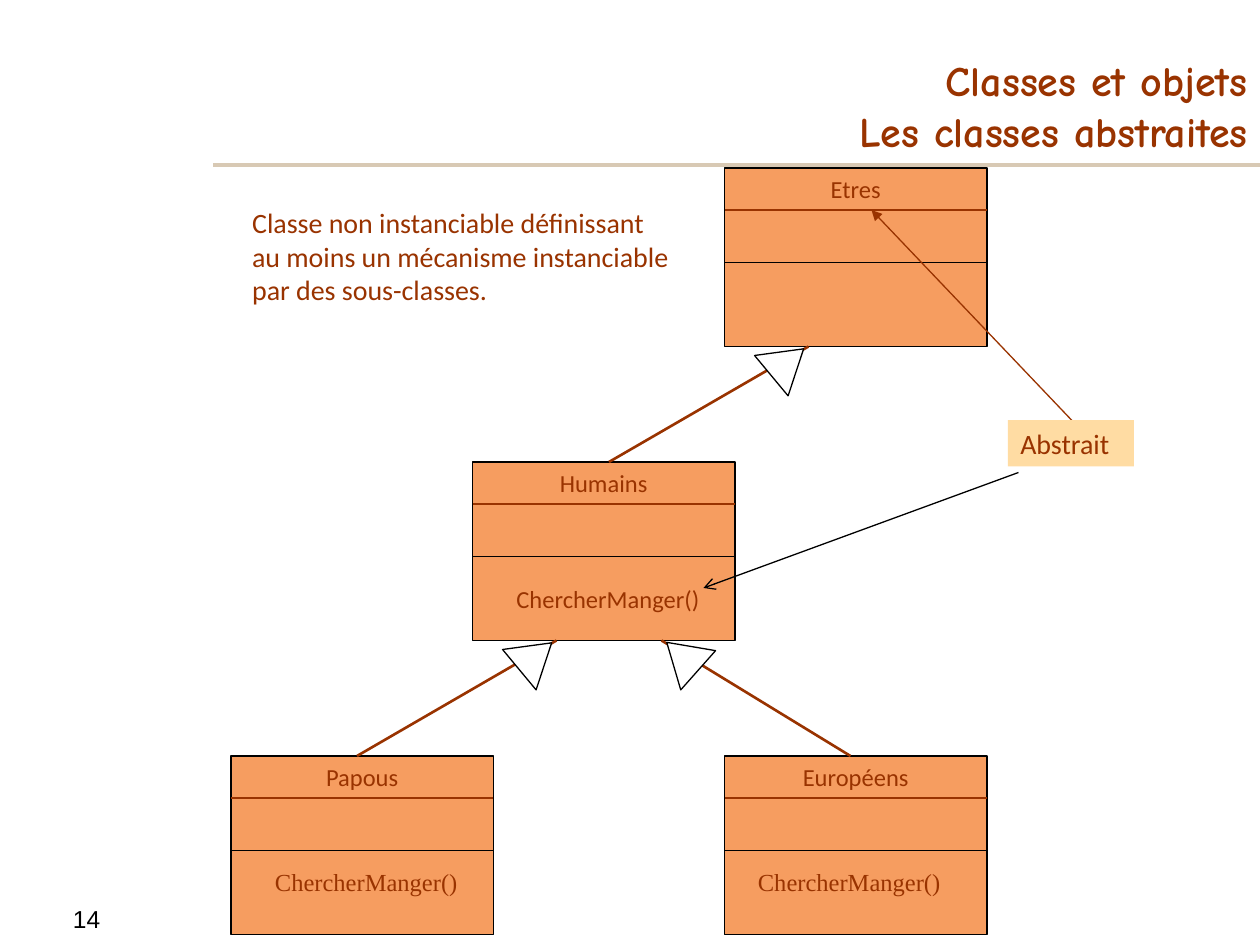
"""Build a slide on abstract classes with a UML inheritance diagram."""
from lxml import etree
from pptx import Presentation
from pptx.dml.color import RGBColor
from pptx.enum import shapes, text
from pptx.oxml import ns
from pptx.util import Pt

BROWN = RGBColor(0x99, 0x33, 0x00)
BLACK = RGBColor(0, 0, 0)
WHITE = RGBColor(0xFF, 0xFF, 0xFF)
ORANGE = RGBColor(0xF6, 0x9D, 0x60)
CREAM = RGBColor(0xFF, 0xDC, 0xA3)
BEIGE = RGBColor(0xD8, 0xC9, 0xB4)

TITLE = "Classes et objets\nLes classes abstraites"
DEFINITION = ("Classe non instanciable définissant\n"
              "au moins un mécanisme instanciable \npar des sous-classes.")
PAGE_NUMBER = "14"
ABSTRACT_LABEL = "Abstrait"
METHOD = "ChercherManger()"
CLASS_WIDTH, CLASS_HEIGHT = 150, 102
NAME_HEIGHT, ATTRIBUTES_BOTTOM = 24, 54
CLASSES = [
    ("Humains", 270, 264),
    ("Papous", 132, 432),
    ("Européens", 414, 432),
    ("Etres", 414, 96),
]
INHERITANCE = [
    ((486, 432), (378, 366), (375, 363), 311.6),
    ((204, 432), (318, 366), (291, 363), 50.3),
    ((348, 264), (462, 198), (435, 195), 50.3),
]
ABSTRACT_ARROWS = [
    ((618, 246), (498, 120), BROWN, "triangle"),
    ((582, 270), (402, 336), BLACK, "arrow"),
]
METHODS = [
    (288, 330, "Calibri"),
    (150, 492, "Times New Roman"),
    (426, 492, "Times New Roman"),
]

presentation = Presentation()
presentation.slide_width, presentation.slide_height = Pt(720), Pt(540)
slide = presentation.slides.add_slide(presentation.slide_layouts[6])


def add_line(start, end, color, width=0.75, arrowhead=None):
    line = slide.shapes.add_connector(
        shapes.MSO_CONNECTOR.STRAIGHT, *map(Pt, start + end))
    line.line.color.rgb = color
    line.line.width = Pt(width)
    properties = line._element.spPr
    if arrowhead:
        etree.SubElement(properties.find(ns.qn("a:ln")),
                         ns.qn("a:tailEnd"), type=arrowhead)
    etree.SubElement(properties, ns.qn("a:effectLst"))


def add_shape(kind, left, top, width, height, fill, outline=BLACK):
    shape = slide.shapes.add_shape(kind, *map(Pt, (left, top, width, height)))
    shape.shadow.inherit = False
    shape.fill.solid()
    shape.fill.fore_color.rgb = fill
    if outline is None:
        shape.line.fill.background()
    else:
        shape.line.color.rgb = outline
        shape.line.width = Pt(0.75)
    return shape


def write(shape, content, size, font="Calibri", color=BROWN, bold=False,
          align=text.PP_ALIGN.LEFT, anchor=text.MSO_ANCHOR.TOP):
    frame = shape.text_frame
    frame.word_wrap = True
    frame.vertical_anchor = anchor
    paragraph = frame.paragraphs[0]
    paragraph.text = content
    paragraph.alignment = align
    paragraph.font.name = font
    paragraph.font.size = Pt(size)
    paragraph.font.bold = bold
    paragraph.font.color.rgb = color


def add_text(left, top, width, height, content, size, **style):
    box = slide.shapes.add_textbox(*map(Pt, (left, top, width, height)))
    write(box, content, size, **style)


def add_class(name, left, top):
    right = left + CLASS_WIDTH
    add_shape(shapes.MSO_SHAPE.RECTANGLE, left, top,
              CLASS_WIDTH, CLASS_HEIGHT, ORANGE)
    for offset, color in ((NAME_HEIGHT, BROWN), (ATTRIBUTES_BOTTOM, BLACK)):
        add_line((left, top + offset), (right, top + offset), color)
    add_text(left + 18, top, CLASS_WIDTH - 36, NAME_HEIGHT, name, 14,
             align=text.PP_ALIGN.CENTER)


add_line((122, 94.3), (720, 94.3), BEIGE, 2)
add_text(0, 513, 99, 19, PAGE_NUMBER, 14, font="Arial", color=BLACK,
         align=text.PP_ALIGN.CENTER)
add_text(276, 36, 444, 48, TITLE, 24, font="Comic Neue", bold=True,
         align=text.PP_ALIGN.RIGHT, anchor=text.MSO_ANCHOR.MIDDLE)
add_text(137, 114, 301, 66, DEFINITION, 16)

for name, left, top in CLASSES:
    add_class(name, left, top)
for start, end, corner, angle in INHERITANCE:
    add_line(start, end, BROWN, 1.5)
    triangle = add_shape(shapes.MSO_SHAPE.ISOSCELES_TRIANGLE, *corner, 30, 24, WHITE)
    triangle.rotation = angle
for start, end, color, arrowhead in ABSTRACT_ARROWS:
    add_line(start, end, color, arrowhead=arrowhead)
for left, top, font in METHODS:
    add_text(left, top, 120, 24, METHOD, 14, font=font)
label = add_shape(shapes.MSO_SHAPE.RECTANGLE, 576, 240, 72, 26.5, CREAM, None)
write(label, ABSTRACT_LABEL, 16)

presentation.save("out.pptx")
